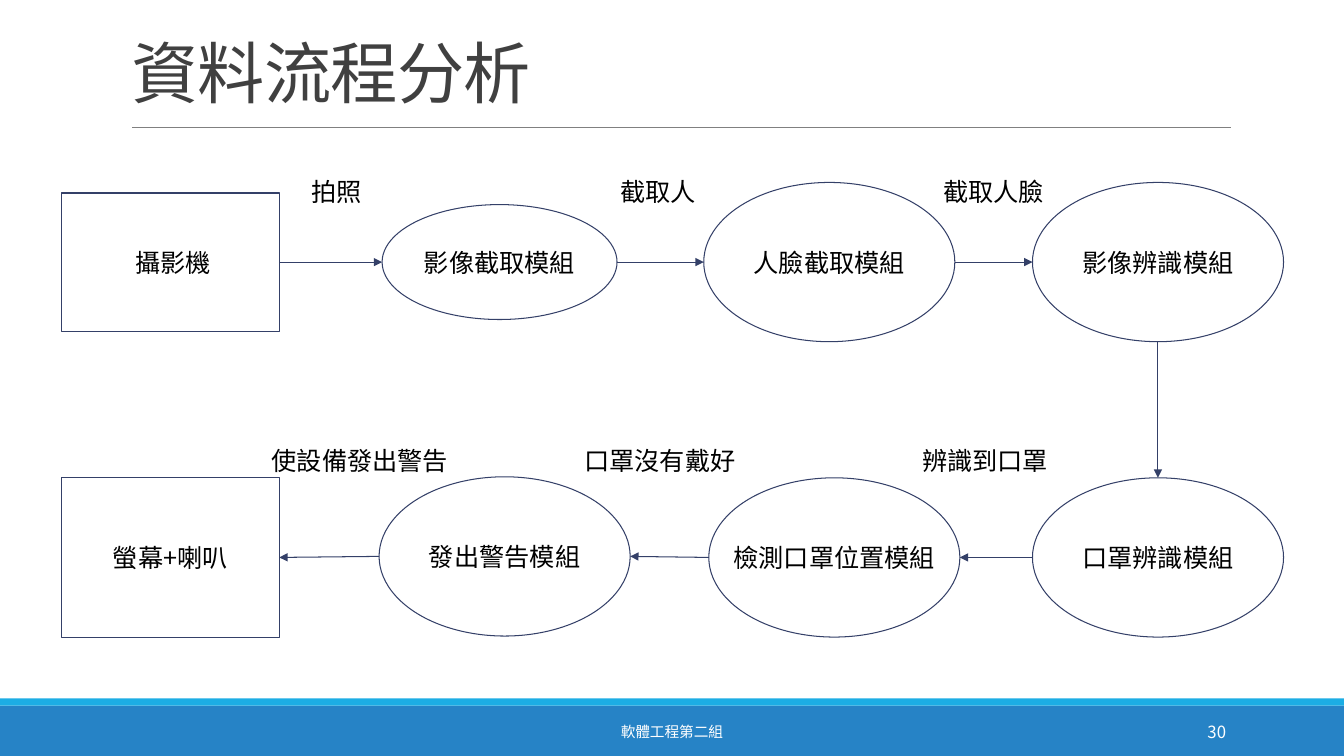
import dataclasses
import itertools

import pptx
import pptx.dml.color
import pptx.enum.shapes
import pptx.enum.text
import pptx.oxml
import pptx.oxml.ns
import pptx.util
from pptx.util import Inches

FONT = "Noto Sans CJK SC"
OUTLINE = "344068"
CORNER = pptx.enum.shapes.MSO_SHAPE
ALIGN = pptx.enum.text.PP_ALIGN
ANCHOR = pptx.enum.text.MSO_ANCHOR
PLAIN_FRAME = {"auto_size": pptx.enum.text.MSO_AUTO_SIZE.NONE, "word_wrap": True}
DIAGRAM_FRAME = PLAIN_FRAME | {"word_wrap": False} | {
    f"margin_{side}": Inches(0.1) for side in ("left", "top", "right", "bottom")
}


@dataclasses.dataclass(frozen=True)
class Node:
    text: str
    left: float
    middle: float
    width: float
    height: float
    kind: pptx.enum.shapes.MSO_SHAPE = CORNER.FLOWCHART_CONNECTOR

    @property
    def top(self) -> float:
        return self.middle - self.height / 2

    @property
    def right(self) -> float:
        return self.left + self.width

    @property
    def center(self) -> float:
        return self.left + self.width / 2


@dataclasses.dataclass(frozen=True)
class Label:
    text: str
    left: float
    top: float


UPPER, LOWER = 2.6, 5.53
FLOW = [
    Node(" 攝影機", 0.61, UPPER, 2.16, 1.37, CORNER.RECTANGLE),
    Node("影像截取模組", 3.79, UPPER, 2.33, 1.14),
    Node("人臉截取模組", 6.98, UPPER, 2.49, 1.58),
    Node("影像辨識模組", 10.24, UPPER, 2.49, 1.58),
    Node("口罩辨識模組", 10.24, LOWER, 2.49, 1.58),
    Node("檢測口罩位置模組", 7.03, LOWER, 2.49, 1.58),
    Node("發出警告模組", 3.76, 5.52, 2.49, 1.58),
    Node("螢幕+喇叭", 0.61, LOWER, 2.16, 1.58, CORNER.RECTANGLE),
]
LABELS = [
    Label("拍照", 2.98, 1.65),
    Label("截取人", 6.05, 1.65),
    Label("截取人臉", 9.25, 1.65),
    Label("辨識到口罩", 9.04, 4.32),
    Label("口罩沒有戴好", 5.69, 4.32),
    Label("使設備發出警告", 2.59, 4.32),
]


def rgb(color: str) -> pptx.dml.color.RGBColor:
    return pptx.dml.color.RGBColor.from_string(color)


def apply(target, values: dict) -> None:
    for name, value in values.items():
        setattr(target, name, value)


def add_child(parent, tag: str, **attributes: str) -> None:
    child = pptx.oxml.parse_xml(f"<{tag} {pptx.oxml.ns.nsdecls('a')}/>")
    for name, value in attributes.items():
        child.set(name, value)
    parent.append(child)


def write(shape, text: str, size: float, color: str, frame_values: dict,
          alignment=ALIGN.CENTER):
    """Fill the shape with one formatted run and return its paragraph."""
    apply(shape.text_frame, frame_values)
    paragraph = shape.text_frame.paragraphs[0]
    paragraph.alignment = alignment
    run = paragraph.add_run()
    run.text = text
    apply(run.font, {"size": pptx.util.Pt(size), "name": FONT})
    run.font.color.rgb = rgb(color)
    add_child(run.font._element, "a:ea", typeface=FONT)
    return paragraph


def add_box(slide, kind, left: float, top: float, width: float, height: float,
            fill: str, outline: str | None = None):
    shape = slide.shapes.add_shape(kind, *map(Inches, (left, top, width, height)))
    shape.shadow.inherit = False
    shape.fill.solid()
    shape.fill.fore_color.rgb = rgb(fill)
    if outline:
        shape.line.color.rgb = rgb(outline)
        shape.line.width = pptx.util.Pt(0.75)
    else:
        shape.line.fill.background()
    return shape


def add_text(slide, left: float, top: float, width: float, height: float,
             *writing) -> None:
    box = slide.shapes.add_textbox(*map(Inches, (left, top, width, height)))
    write(box, *writing)


def add_line(slide, start: tuple[float, float], end: tuple[float, float],
             color: str, width: float, arrow: bool = False) -> None:
    line = slide.shapes.add_connector(
        pptx.enum.shapes.MSO_CONNECTOR.STRAIGHT, *map(Inches, start + end))
    line.line.color.rgb = rgb(color)
    line.line.width = pptx.util.Pt(width)
    if arrow:
        add_child(line.line._get_or_add_ln(), "a:tailEnd", type="triangle")
    add_child(line._element.spPr, "a:effectLst")


def connect(slide, source: Node, target: Node) -> None:
    """Draw an arrow between the facing sides of two nodes."""
    if target.left == source.left:
        start = (source.center, source.top + source.height)
        end = (target.center, target.top)
    elif target.left > source.left:
        start, end = (source.right, source.middle), (target.left, target.middle)
    else:
        start, end = (source.left, source.middle), (target.right, target.middle)
    add_line(slide, start, end, OUTLINE, 0.75, arrow=True)


def add_title(slide, text: str) -> None:
    title = slide.shapes.title
    apply(title, {"left": Inches(1.2), "top": Inches(0.17),
                  "width": Inches(11), "height": Inches(0.99)})
    paragraph = write(title, text, 48, "404040",
                      PLAIN_FRAME | {"vertical_anchor": ANCHOR.BOTTOM}, ALIGN.LEFT)
    paragraph.line_spacing = 0.85
    paragraph.runs[0].font._element.set("spc", "-50")


def main() -> None:
    presentation = pptx.Presentation()
    apply(presentation, {"slide_width": Inches(13.33), "slide_height": Inches(7.5)})
    slide = presentation.slides.add_slide(presentation.slide_layouts[5])

    add_box(slide, CORNER.RECTANGLE, 0, 7, 13.33, 0.5, "2683C6")
    add_box(slide, CORNER.RECTANGLE, 0, 6.93, 13.33, 0.07, "1CADE4")
    add_line(slide, (1.31, 1.26), (12.21, 1.26), "808080", 0.5)
    add_title(slide, "資料流程分析")

    centered = {"vertical_anchor": ANCHOR.MIDDLE}
    for node in FLOW:
        shape = add_box(slide, node.kind, node.left, node.top, node.width,
                        node.height, "FFFFFF", OUTLINE)
        write(shape, node.text, 18, "000000", DIAGRAM_FRAME | centered)
    for source, target in itertools.pairwise(FLOW):
        connect(slide, source, target)
    for label in LABELS:
        add_text(slide, label.left, label.top, 0.21 + 0.25 * len(label.text), 0.5,
                 label.text, 18, "000000", DIAGRAM_FRAME)

    footer_frame = PLAIN_FRAME | centered
    add_text(slide, 4.03, 7.06, 5.27, 0.4,
             "軟體工程第二組", 10.5, "FFFFFF", footer_frame)
    add_text(slide, 10.83, 7.06, 1.43, 0.4,
             "30", 12, "FFFFFF", footer_frame, ALIGN.RIGHT)
    presentation.save("out.pptx")


if __name__ == "__main__":
    main()
